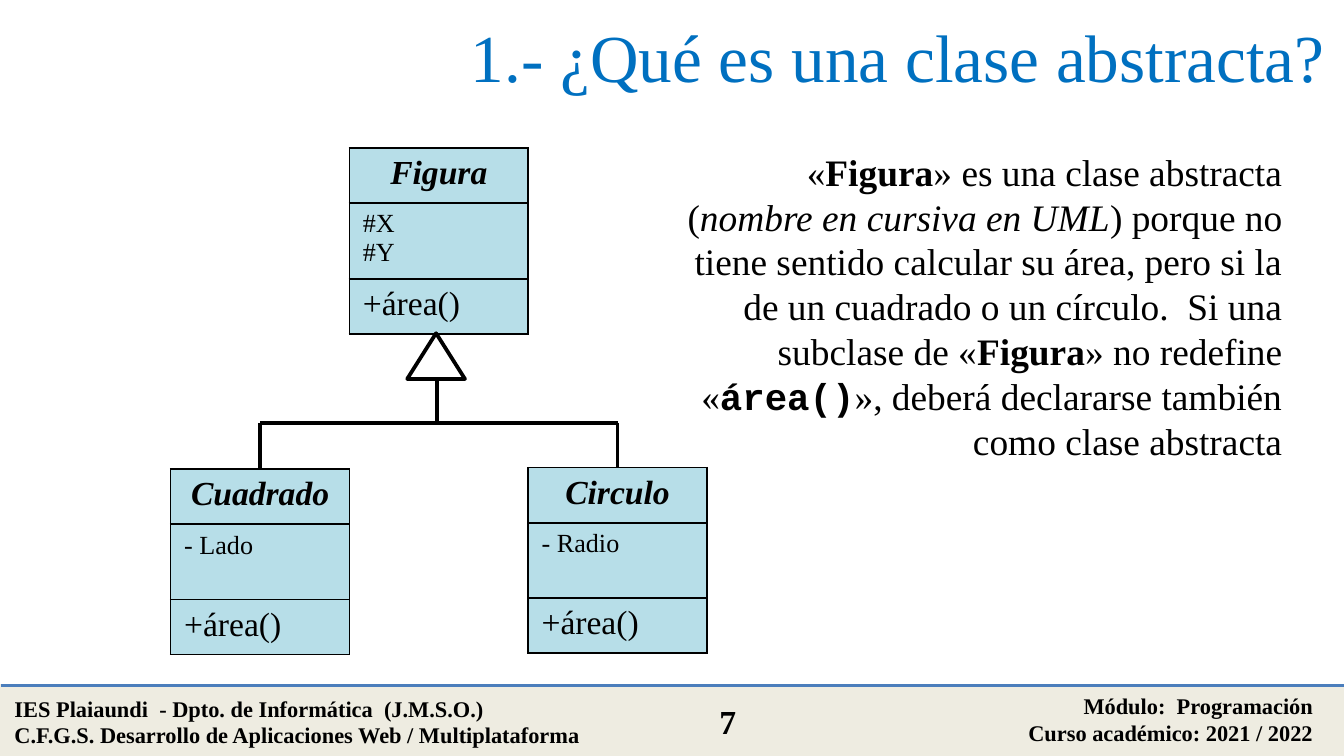
from lxml.etree import SubElement
from pptx import Presentation
from pptx.dml.color import RGBColor
from pptx.enum.shapes import MSO_CONNECTOR, MSO_SHAPE
from pptx.enum.text import MSO_ANCHOR, PP_ALIGN
from pptx.oxml import parse_xml
from pptx.oxml.ns import nsdecls, qn
from pptx.util import Inches, Pt

# Content
SERIF, MONO = "Times New Roman", "Courier New"
LEFT, MID, RIGHT = PP_ALIGN.LEFT, PP_ALIGN.CENTER, PP_ALIGN.RIGHT
TITLE = "1.- ¿Qué es una clase abstracta?"

# Runs: text and style letters (b bold, i italic, m monospace)
BODY = [[
    ("«", ""), ("Figura", "b"), ("» es una clase abstracta (", ""),
    ("nombre en cursiva en UML", "i"),
    (") porque no tiene sentido calcular su área, pero si la de un "
     "cuadrado o un círculo.  Si una subclase de «", ""),
    ("Figura", "b"), ("» no redefine «", ""), ("área()", "bm"),
    ("», deberá declararse también como clase abstracta", ""),
]]

# Footer: left, top, width, height, size, alignment, lines
FOOTER = [
    (0.01, 5.12, 4.66, 0.5, 12, LEFT,
     ["IES Plaiaundi  - Dpto. de Informática  (J.M.S.O.)",
      "C.F.G.S. Desarrollo de Aplicaciones Web / Multiplataforma"]),
    (5.87, 5.1, 4, 0.5, 12, RIGHT,
     ["Módulo:  Programación", "Curso académico: 2021 / 2022"]),
    (5.01, 5.17, 0.81, 0.4, 18, MID, ["7"]),
]

# Classes: left, top, name, fields, method
CLASSES = [
    (2.6, 1.1, "Figura", ["#X", "#Y"], "+área()"),
    (1.27, 3.49, "Cuadrado", ["- Lado"], "+área()"),
    (3.93, 3.48, "Circulo", ["- Radio"], "+área()"),
]
WIDE, ROWS = 1.33, (0.41, 0.56, 0.41)


# Helpers
def paint(obj, code):
    """Colour a fill, a line or a font."""
    if hasattr(obj, "solid"):
        obj.solid()
        obj = obj.fore_color
    else:
        obj = obj.color
    obj.rgb = RGBColor.from_string(code)


def write(frame, paras, size, align, code="000000"):
    for n, runs in enumerate(paras):
        para = frame.paragraphs[0] if n == 0 else frame.add_paragraph()
        para.alignment = align
        for text, style in runs:
            run = para.add_run()
            run.text = text
            font = run.font
            font.name = MONO if "m" in style else SERIF
            font.size = Pt(size)
            font.bold, font.italic = "b" in style, "i" in style
            paint(font, code)


def add_text(box, paras, size, align):
    frame = slide.shapes.add_textbox(*map(Inches, box)).text_frame
    frame.word_wrap = True
    write(frame, paras, size, align)


def add_line(x1, y1, x2, y2, code="000000"):
    line = slide.shapes.add_connector(
        MSO_CONNECTOR.STRAIGHT, *map(Inches, (x1, y1, x2, y2)))
    line.line.width = Pt(2)
    paint(line.line, code)
    SubElement(line._element.spPr, qn("a:effectLst"))


def add_shape(kind, box, edge, fill=None):
    shape = slide.shapes.add_shape(kind, *map(Inches, box))
    shape.shadow.inherit = False
    if fill:
        paint(shape.fill, fill)
    else:
        shape.fill.background()
    shape.line.width = Pt(2)
    paint(shape.line, edge)


def edge_cell(cell):
    props = cell._tc.get_or_add_tcPr()
    for n, side in enumerate(("lnL", "lnR", "lnT", "lnB")):
        props.insert(n, parse_xml(
            f'<a:{side} {nsdecls("a")} w="12700"><a:solidFill>'
            f'<a:srgbClr val="000000"/></a:solidFill></a:{side}>'))


def add_class(x, y, name, fields, method):
    box = map(Inches, (x, y, WIDE, sum(ROWS)))
    table = slide.shapes.add_table(len(ROWS), 1, *box).table
    table.first_row = table.horz_banding = False
    parts = [([name], 18, MID, "bi"), (fields, 14, LEFT, ""),
             ([method], 18, LEFT, "")]
    for n, (lines, size, align, style) in enumerate(parts):
        table.rows[n].height = Inches(ROWS[n])
        cell = table.cell(n, 0)
        paint(cell.fill, "B7DEE8")
        edge_cell(cell)
        write(cell.text_frame, [[(t, style)] for t in lines], size, align)


# Slide, 16:9
deck = Presentation()
deck.slide_width = Inches(10)
deck.slide_height = Inches(10 * 9 / 16)
slide = deck.slides.add_slide(deck.slide_layouts[5])

# Footer band
add_shape(MSO_SHAPE.RECTANGLE, (0.01, 5.1, 10, 0.52), "EEECE1", "EEECE1")
add_line(0.01, 5.1, 10.01, 5.1, "4B7EBC")
for *box, size, align, lines in FOOTER:
    add_text(box, [[(t, "b")] for t in lines], size, align)

# Title and text
head = slide.shapes.title
head.left, head.top = Inches(1.28), Inches(-0.01)
head.width, head.height = Inches(8.68), Inches(0.84)
head.text_frame.vertical_anchor = MSO_ANCHOR.MIDDLE
write(head.text_frame, [[(TITLE, "")]], 36, RIGHT, "0070C0")
add_text((4.95, 1.06, 4.69, 2.46), BODY, 20, RIGHT)

# Class diagram
for item in CLASSES:
    add_class(*item)

# Inheritance tree: bar, branches to each subclass, stem and arrow
bar = 3.15
ends = [x + WIDE / 2 for x, *_ in CLASSES[1:]]
add_line(ends[0], bar, ends[1], bar)
for x, (_, top, *_) in zip(ends, CLASSES[1:]):
    add_line(x, bar, x, top)
add_line(3.25, 2.83, 3.25, bar)
add_shape(MSO_SHAPE.ISOSCELES_TRIANGLE, (3.03, 2.48, 0.43, 0.34), "000000")

deck.save("out.pptx")
